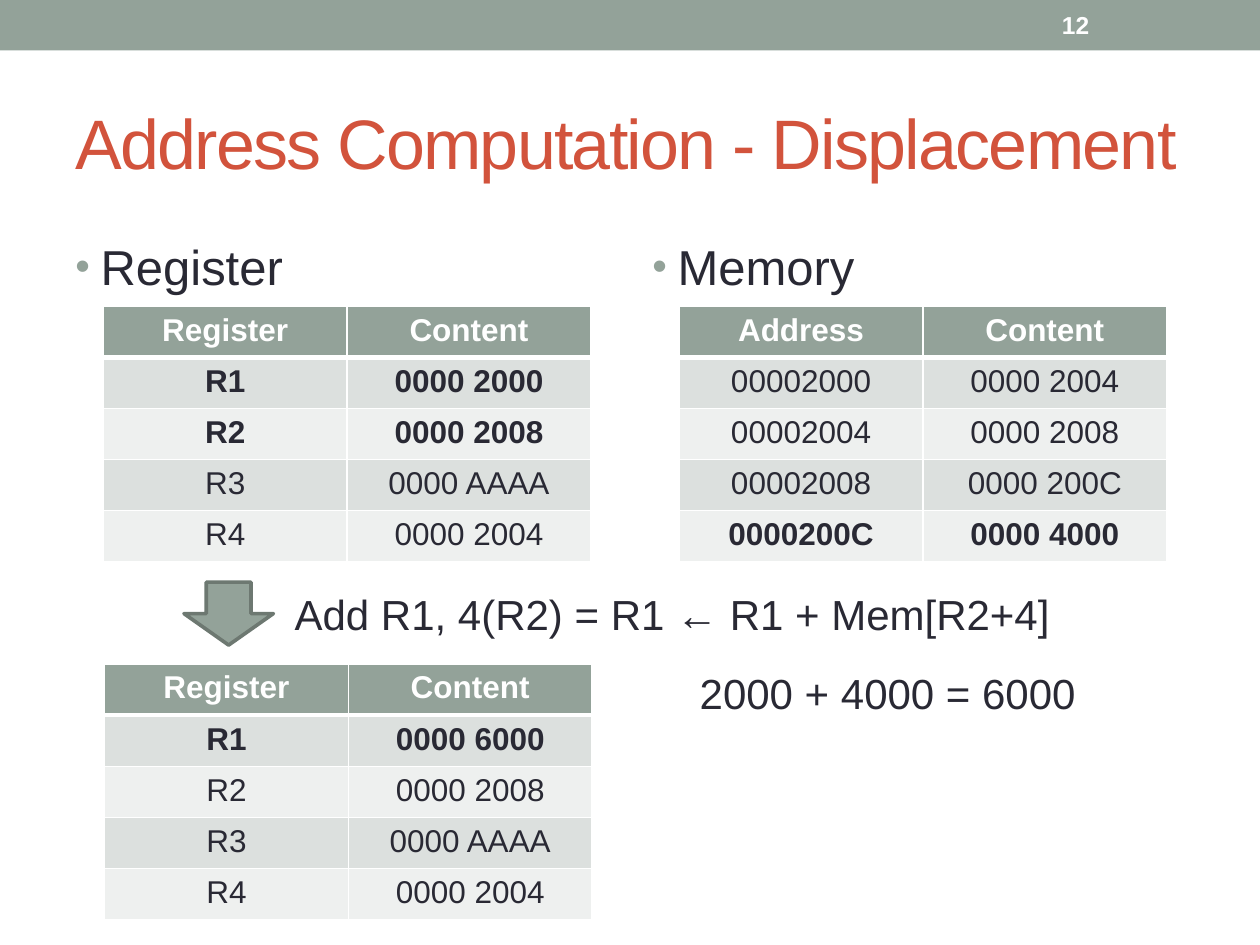
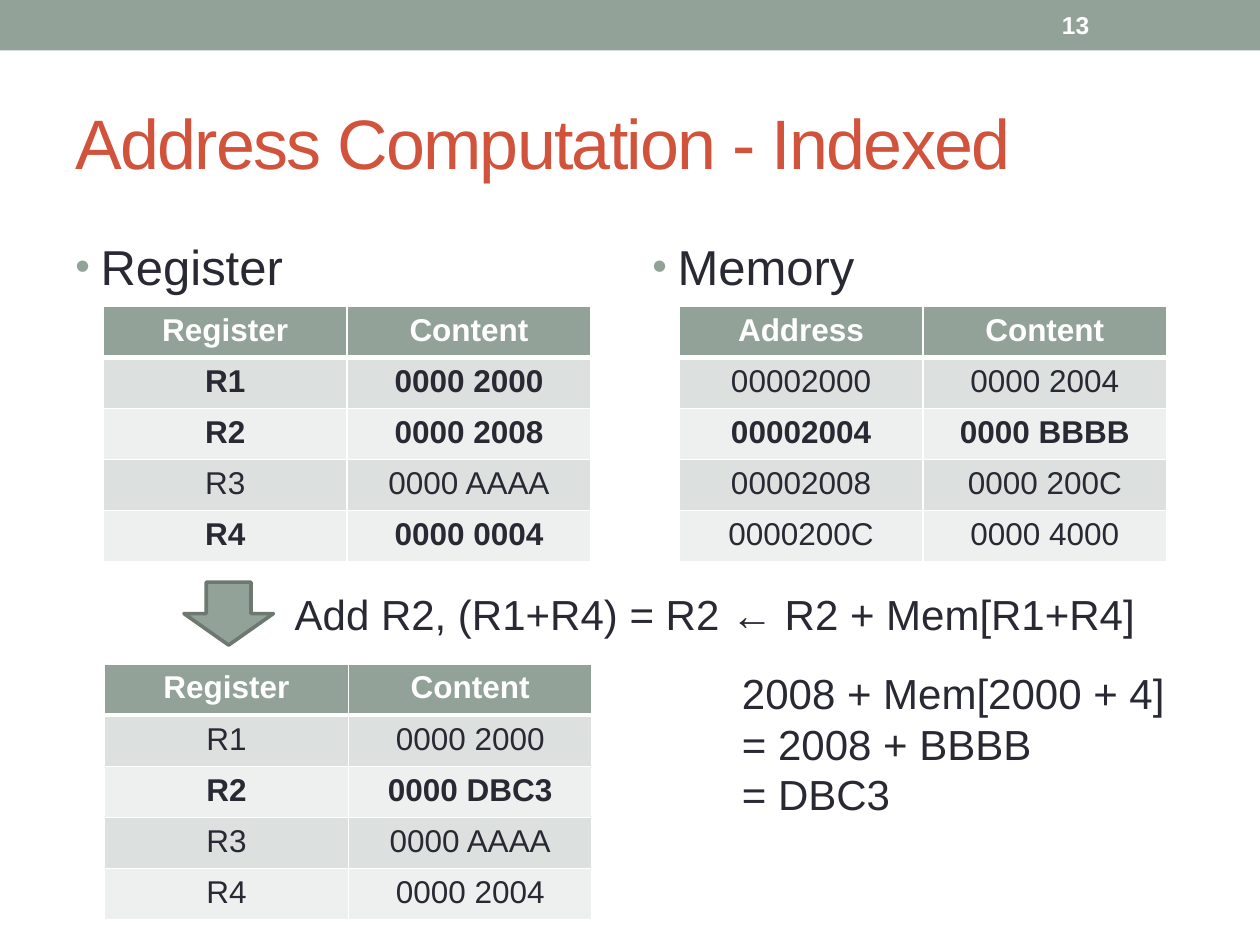
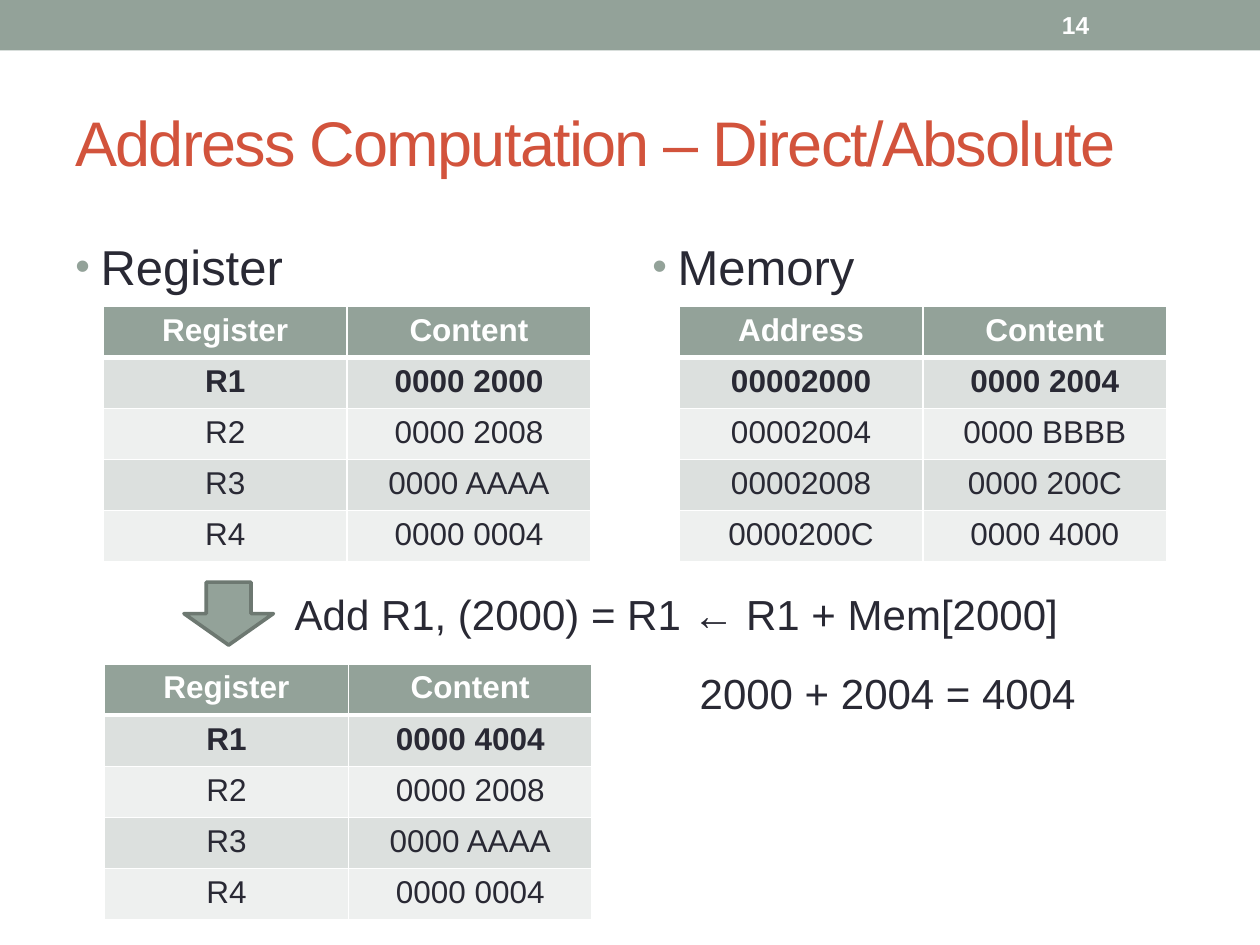
from dataclasses import dataclass
from typing import Any

from lxml.etree import SubElement as Sub
from pptx import Presentation
from pptx.dml.color import RGBColor as Rgb
from pptx.enum.shapes import MSO_SHAPE as Kind
from pptx.enum.text import MSO_ANCHOR as Anchor, PP_ALIGN as Align
from pptx.oxml import parse_xml
from pptx.oxml.ns import nsdecls, qn
from pptx.util import Inches, Pt

# Shared look
SAGE, EDGE, RUST, INK, WHITE = "93A299", "6D7871", "D2533C", "292934", "FFFFFF"
BANDS = ("DCE0DE", "EEF0EF")
FONT = "Arial"
TITLE = {"size": Pt(40), "bold": False, "color": RUST}
HEAD = {"size": Pt(28), "bold": False, "color": INK}
NOTE = {"size": Pt(24), "bold": False, "color": INK}
PAGE = {"size": Pt(14), "bold": True, "color": WHITE}
CELL = {"size": Pt(18), "bold": False, "color": INK}
TOP = {**CELL, "bold": True, "color": WHITE}

REGS = ("R1", "R2", "R3", "R4")
CELLS = ("00002000", "00002004", "00002008", "0000200C")


@dataclass(frozen=True)
class Box:
    left: float
    top: float
    width: float
    height: float

    def emu(self) -> tuple:
        return tuple(map(Inches, (self.left, self.top, self.width, self.height)))


@dataclass(frozen=True)
class Grid:
    """Contents of a table; keys in bold mark the rows to stress."""
    head: str
    keys: tuple[str, ...]
    vals: tuple[str, ...]
    bold: tuple[str, ...]


@dataclass(frozen=True)
class Mode:
    """One addressing mode, shown on one slide."""
    name: str
    size: int
    before: Grid
    memory: Grid
    after: Grid
    rule: str
    width: float
    sums: tuple[str, ...]


BAND = Box(0, 0, 10, 0.4)
NUMBER = Box(8.33, 0.02, 1.17, 0.36)
NAME = Box(0.5, 0.58, 9, 1.08)
LEFT = Box(0.5, 1.83, 4.42, 5.16)
RIGHT = Box(5.08, 1.83, 4.42, 5.16)
BEFORE = Box(0.82, 2.43, 3.87, 2.03)
MEMORY = Box(5.39, 2.43, 3.87, 2.03)
AFTER = Box(0.83, 5.27, 3.87, 2.03)
ARROW = Box(1.46, 4.62, 0.71, 0.5)
ONE_SUM = Box(5.39, 5.25, 3.31, 0.5)
MANY_SUMS = Box(5.79, 5.25, 3.78, 1.31)


def regs(vals: str, *bold: str) -> Grid:
    return Grid("Register", REGS, tuple(vals.split()), bold)


def mem(vals: str, *bold: str) -> Grid:
    return Grid("Address", CELLS, tuple(vals.split()), bold)


MODES = (
    Mode("Address Computation - Displacement", 40,
         regs("2000 2008 AAAA 2004", "R1", "R2"),
         mem("2004 2008 200C 4000", "0000200C"),
         regs("6000 2008 AAAA 2004", "R1"),
         "Add R1, 4(R2) = R1 ← R1 + Mem[R2+4]", 6.46,
         ("2000 + 4000 = 6000",)),
    Mode("Address Computation - Indexed", 40,
         regs("2000 2008 AAAA 0004", "R1", "R2", "R4"),
         mem("2004 BBBB 200C 4000", "00002004"),
         regs("2000 DBC3 AAAA 2004", "R2"),
         "Add R2, (R1+R4) = R2 ← R2 + Mem[R1+R4]", 7.05,
         ("2008 + Mem[2000 + 4]", "= 2008 + BBBB", "= DBC3")),
    Mode("Address Computation – Direct/Absolute", 36,
         regs("2000 2008 AAAA 0004", "R1"),
         mem("2004 BBBB 200C 4000", "00002000"),
         regs("4004 2008 AAAA 0004", "R1"),
         "Add R1, (2000) = R1 ← R1 + Mem[2000]", 7.28,
         ("2000 + 2004 = 4004",)),
)


def paint(fmt: Any, tone: str) -> None:
    fmt.solid()
    fmt.fore_color.rgb = Rgb.from_string(tone)


def write(para: Any, text: str, style: dict, align: Any = Align.LEFT) -> Any:
    para.alignment = align
    run = para.add_run()
    run.text = text
    run.font.name = FONT
    for key, val in style.items():
        if key == "color":
            run.font.color.rgb = Rgb.from_string(val)
        else:
            setattr(run.font, key, val)
    return run


def label(slide: Any, box: Box, lines: tuple[str, ...], style: dict,
          anchor: Any = Anchor.TOP, align: Any = Align.LEFT) -> Any:
    frame = slide.shapes.add_textbox(*box.emu()).text_frame
    frame.word_wrap = True
    frame.vertical_anchor = anchor
    for i, line in enumerate(lines):
        para = frame.add_paragraph() if i else frame.paragraphs[0]
        write(para, line, style, align)
    return frame


def shape(slide: Any, kind: Any, box: Box, edge: str = "") -> None:
    item = slide.shapes.add_shape(kind, *box.emu())
    item.shadow.inherit = False
    paint(item.fill, SAGE)
    if edge:
        paint(item.line.fill, edge)
        item.line.width = Pt(2.08)
    else:
        item.line.fill.background()


def bullet(slide: Any, box: Box, text: str) -> None:
    frame = label(slide, box, (text,), HEAD)
    props = frame.paragraphs[0]._p.get_or_add_pPr()
    props.set("marL", str(Inches(0.2)))
    props.set("indent", str(Inches(-0.2)))
    Sub(Sub(props, qn("a:spcBef")), qn("a:spcPct"), val="20000")
    Sub(Sub(props, qn("a:buClr")), qn("a:srgbClr"), val=SAGE)
    Sub(props, qn("a:buSzPct"), val="85000")
    Sub(props, qn("a:buFont"), typeface=FONT)
    Sub(props, qn("a:buChar"), char="•")


def border(cell: Any, row: int) -> None:
    """White lines, with a thick one under the head row."""
    sides = {"L": 1, "R": 1, "T": 3 if row == 1 else 1, "B": 1 if row else 3}
    props = cell._tc.get_or_add_tcPr()
    for i, (side, width) in enumerate(sides.items()):
        props.insert(i, parse_xml(
            f'<a:ln{side} {nsdecls("a")} w="{Pt(width)}"><a:solidFill>'
            f'<a:srgbClr val="{WHITE}"/></a:solidFill></a:ln{side}>'))


def table(slide: Any, box: Box, grid: Grid) -> None:
    rows = [(grid.head, "Content")]
    rows += [(key, f"0000 {val}") for key, val in zip(grid.keys, grid.vals)]
    body = slide.shapes.add_table(len(rows), 2, *box.emu()).table
    for r, row in enumerate(rows):
        style = {**CELL, "bold": row[0] in grid.bold} if r else TOP
        for c, text in enumerate(row):
            cell = body.cell(r, c)
            paint(cell.fill, BANDS[(r - 1) % 2] if r else SAGE)
            border(cell, r)
            write(cell.text_frame.paragraphs[0], text, style, Align.CENTER)


def build(slide: Any, mode: Mode, page: int) -> None:
    # Band, title and page number
    shape(slide, Kind.RECTANGLE, BAND)
    title = label(slide, NAME, (mode.name,), {**TITLE, "size": Pt(mode.size)},
                  Anchor.MIDDLE)
    title.paragraphs[0].runs[0]._r.get_or_add_rPr().set("spc", "-100")
    label(slide, NUMBER, (str(page),), PAGE, Anchor.MIDDLE)

    # Headings and tables
    bullet(slide, LEFT, "Register")
    bullet(slide, RIGHT, "Memory")
    table(slide, MEMORY, mode.memory)
    table(slide, AFTER, mode.after)
    table(slide, BEFORE, mode.before)

    # Instruction and its result
    label(slide, Box(2.24, 4.62, mode.width, 0.5), (mode.rule,), NOTE)
    shape(slide, Kind.DOWN_ARROW, ARROW, EDGE)
    many = len(mode.sums) > 1
    label(slide, MANY_SUMS if many else ONE_SUM, mode.sums, NOTE,
          align=Align.LEFT if many else Align.CENTER)


def main() -> None:
    deck = Presentation()
    deck.slide_width, deck.slide_height = Inches(10), Inches(7.5)
    for page, mode in enumerate(MODES, 12):
        build(deck.slides.add_slide(deck.slide_layouts[6]), mode, page)
    deck.save("out.pptx")


if __name__ == "__main__":
    main()
